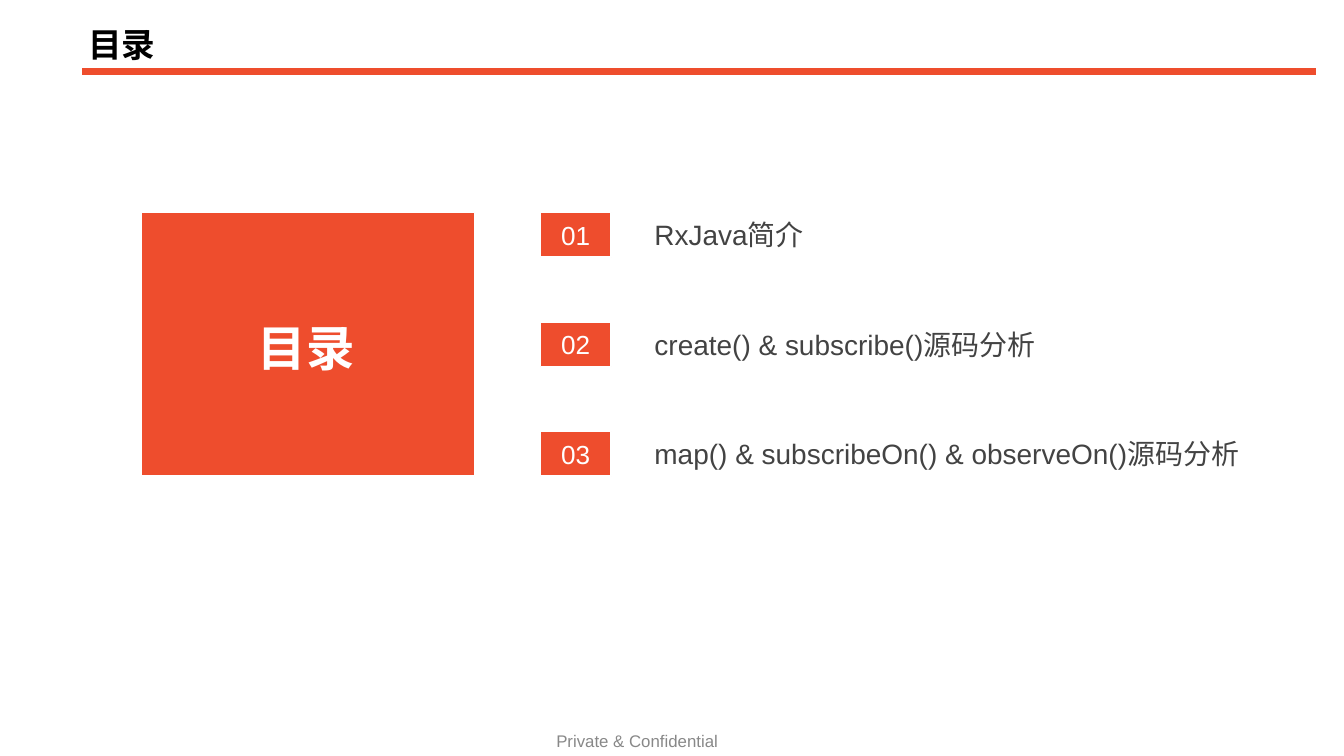
from lxml import etree
from pptx import Presentation
from pptx.dml.color import RGBColor
from pptx.enum.shapes import MSO_CONNECTOR, MSO_SHAPE
from pptx.enum.text import MSO_ANCHOR, PP_ALIGN
from pptx.oxml.ns import qn
from pptx.util import Cm, Pt

STRAIGHT = MSO_CONNECTOR.STRAIGHT
RECTANGLE = MSO_SHAPE.RECTANGLE
TOP, MIDDLE, BOTTOM = MSO_ANCHOR.TOP, MSO_ANCHOR.MIDDLE, MSO_ANCHOR.BOTTOM
LEFT, CENTER = PP_ALIGN.LEFT, PP_ALIGN.CENTER

COLORS = {
    "accent": "EE4D2D",
    "white": "FFFFFF",
    "title": "000000",
    "body": "434343",
    "footer": "888888",
}
TOPICS = [
    "RxJava简介",
    "create() & subscribe()源码分析",
    "map() & subscribeOn() & observeOn()源码分析",
]


class SlideBuilder:
    """Holds the style and the current slide; lengths are in centimetres."""

    font = "Arial"

    def __init__(self, slide):
        self.slide = slide

    def color(self, name):
        return RGBColor.from_string(COLORS[name])

    def fill_text(self, shape, text, size, color, bold=False, align=LEFT,
                  anchor=TOP, inset=0.25, spacing=1.0):
        frame = shape.text_frame
        frame.text = text
        frame.word_wrap = True
        frame.vertical_anchor = anchor
        frame.margin_left = frame.margin_right = Cm(inset)
        frame.margin_top = frame.margin_bottom = Cm(inset)
        paragraph = frame.paragraphs[0]
        paragraph.alignment = align
        paragraph.line_spacing = spacing
        for run in paragraph.runs:
            run.font.name = self.font
            run.font.size = Pt(size)
            run.font.bold = bold
            run.font.color.rgb = self.color(color)

    def text(self, left, top, width, height, text, size, color, **style):
        box = self.slide.shapes.add_textbox(
            Cm(left), Cm(top), Cm(width), Cm(height))
        self.fill_text(box, text, size, color, **style)

    def rectangle(self, left, top, width, height):
        shape = self.slide.shapes.add_shape(
            RECTANGLE, Cm(left), Cm(top), Cm(width), Cm(height))
        shape.shadow.inherit = False
        shape.fill.solid()
        shape.fill.fore_color.rgb = self.color("accent")
        shape.line.color.rgb = self.color("white")
        shape.line.width = Pt(0.75)
        return shape

    def rule(self, left, right, top, width):
        line = self.slide.shapes.add_connector(
            STRAIGHT, Cm(left), Cm(top), Cm(right), Cm(top))
        line.line.color.rgb = self.color("accent")
        line.line.width = Pt(width)
        etree.SubElement(line._element.spPr, qn("a:effectLst"))


def main():
    presentation = Presentation()
    presentation.slide_width = Cm(25.4)
    presentation.slide_height = Cm(14.29)
    slide = presentation.slides.add_slide(presentation.slide_layouts[6])
    builder = SlideBuilder(slide)

    # Header
    builder.rule(1.55, 24.87, 1.35, 4)
    builder.text(1.52, 0.15, 22.38, 1.22, "目录", 18, "title", bold=True,
                 anchor=BOTTOM, inset=0.15, spacing=0.9)

    # Contents panel
    first_top = 4.02
    builder.rectangle(2.67, first_top, 6.3, 4.98)
    builder.text(4.62, 5.77, 2.62, 2.82, "目录", 26, "white", bold=True)

    # Numbered topics
    row_pitch = 2.07
    for index, topic in enumerate(TOPICS):
        top = first_top + index * row_pitch
        badge = builder.rectangle(10.21, top, 1.34, 0.84)
        builder.fill_text(badge, f"{index + 1:02d}", 14, "white",
                          align=CENTER, anchor=MIDDLE)
        builder.text(12.12, top - 0.15, 12.04, 1.14, topic, 15, "body")

    # Footer
    builder.text(7.85, 13.72, 8.38, 0.58, "Private & Confidential", 9,
                 "footer", align=CENTER, anchor=MIDDLE, inset=0.1)

    presentation.save("out.pptx")


if __name__ == "__main__":
    main()
